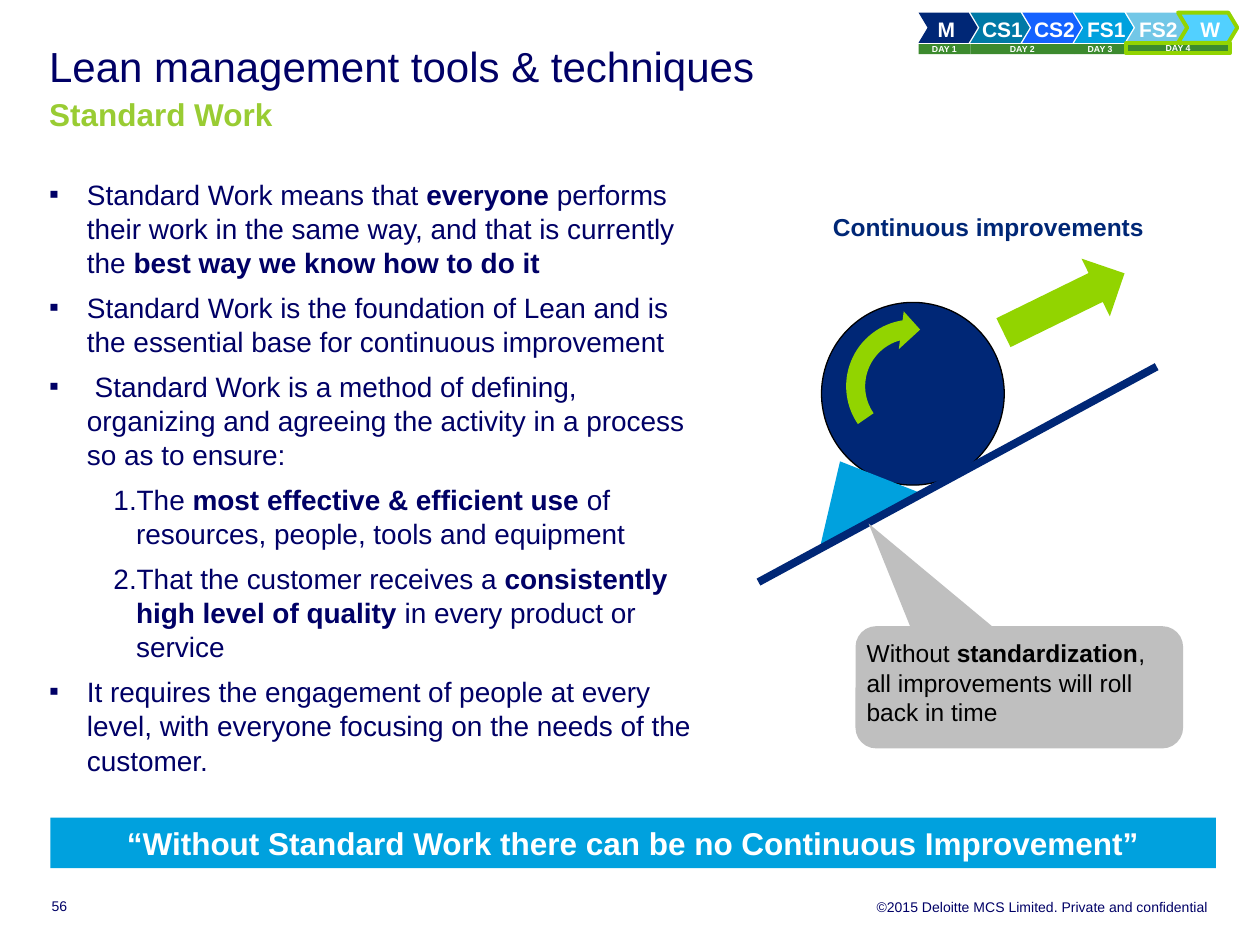
import dataclasses

import pptx
import pptx.dml.color
import pptx.enum.shapes
import pptx.enum.text
import pptx.oxml.ns
import pptx.util
from lxml import etree

RGB = pptx.dml.color.RGBColor
SHAPE = pptx.enum.shapes.MSO_SHAPE
ALIGN = pptx.enum.text.PP_ALIGN
ANCHOR = pptx.enum.text.MSO_ANCHOR
Pt = pptx.util.Pt

NAVY = RGB(0x00, 0x27, 0x76)
TEXT_BLUE = RGB(0x00, 0x00, 0x66)
CYAN = RGB(0x00, 0xA1, 0xDE)
LIME = RGB(0x92, 0xD4, 0x00)
SUBTITLE_GREEN = RGB(0x99, 0xCC, 0x33)
DAY_GREEN = RGB(0x3C, 0x8A, 0x2E)
TEAL = RGB(0x00, 0x79, 0xA6)
BLUE = RGB(0x14, 0x62, 0xFF)
PALE_BLUE = RGB(0x72, 0xC7, 0xE7)
SKY = RGB(0x52, 0xD0, 0xFF)
GREY = RGB(0xBF, 0xBF, 0xBF)
WHITE = RGB(0xFF, 0xFF, 0xFF)
BLACK = RGB(0x00, 0x00, 0x00)

CELL = 0.1  # the slide is a grid of 100 columns by 75 rows, in inches


def cells(count):
    return pptx.util.Inches(count * CELL)


@dataclasses.dataclass
class Box:
    left: float
    top: float
    width: float
    height: float

    def inner(self, left, top, width, height):
        return Box(self.left + left, self.top + top, width, height)

    def lengths(self):
        return [cells(n) for n in (self.left, self.top, self.width, self.height)]


def set_font(target, size, color, bold=None):
    font = target.font
    font.name, font.size, font.bold = "Arial", Pt(size), bold
    font.color.rgb = color


def set_frame(frame, insets=(0, 0, 0, 0), anchor=ANCHOR.TOP, wrap=True):
    frame.auto_size = pptx.enum.text.MSO_AUTO_SIZE.NONE
    frame.word_wrap = wrap
    frame.vertical_anchor = anchor
    (frame.margin_left, frame.margin_top,
     frame.margin_right, frame.margin_bottom) = [cells(n) for n in insets]


def add_spans(para, spans):
    """Odd spans are bold."""
    for index, words in enumerate(spans):
        span = para.add_run()
        span.text = words
        if index % 2:
            span.font.bold = True


def write(shape, spans, size, color, bold=None, align=ALIGN.LEFT, **frame):
    set_frame(shape.text_frame, **frame)
    para = shape.text_frame.paragraphs[0]
    para.alignment = align
    set_font(para, size, color, bold)
    add_spans(para, spans)
    return para


def add_shape(page, kind, box, fill, line=None, adjust=(), rotation=0):
    shape = page.shapes.add_shape(kind, *box.lengths())
    shape.shadow.inherit = False
    shape.fill.solid()
    shape.fill.fore_color.rgb = fill
    if line:
        shape.line.color.rgb, shape.line.width = line[0], Pt(line[1])
    else:
        shape.line.fill.background()
    for index, value in enumerate(adjust):
        shape.adjustments[index] = value
    shape.rotation = rotation
    return shape


def add_text(page, box, text, size, color, **style):
    write(page.shapes.add_textbox(*box.lengths()), [text], size, color, **style)


def place(holder, box):
    holder.left, holder.top, holder.width, holder.height = box.lengths()
    set_frame(holder.text_frame)


def add_tracker(page, box):
    """Course modules as chevrons, with the days beneath them."""
    step = box.width / 6
    modules = [("M", NAVY), ("CS1", TEAL), ("CS2", BLUE),
               ("FS1", CYAN), ("FS2", PALE_BLUE), ("W", SKY)]
    for index, (label, fill) in enumerate(modules):
        first, current = index == 0, index == len(modules) - 1
        chevron = add_shape(page, SHAPE.CHEVRON, box.inner(index * step, 0, 4.7, 2.4),
                            fill, (LIME, 2.25) if current else None, [0.3])
        para = write(chevron, [label], 12, WHITE, True,
                     ALIGN.LEFT if first else ALIGN.CENTER,
                     insets=(0.8, 0.6, 0, 0.6) if first else (2, 0.6, 1.6, 0.6),
                     anchor=ANCHOR.MIDDLE, wrap=False)
        para.line_spacing = 1.1
    column = 0
    for day, span in enumerate((1, 2, 1, 2), start=1):
        current = day == 4
        bar = add_shape(page, SHAPE.RECTANGLE,
                        box.inner(column * step, 2.4 if current else 2.5, span * step, 0.8),
                        DAY_GREEN, (LIME, 2.25) if current else None)
        write(bar, [f"DAY {day}"], 5, WHITE, True, ALIGN.CENTER, insets=(0.4, 0, 0.4, 0))
        column += span


def fill_title(page, box):
    title = page.shapes.title
    place(title, box)
    para = title.text_frame.paragraphs[0]
    para.alignment, para.line_spacing = ALIGN.LEFT, Pt(24)
    heading = para.add_run()
    heading.text = "Lean management tools & techniques"
    set_font(heading, 24, TEXT_BLUE)
    para.add_line_break()
    subtitle = para.add_run()
    subtitle.text = "Standard Work"
    set_font(subtitle, 18, SUBTITLE_GREEN, True)


def fill_body(page, box):
    body = page.placeholders[1]
    place(body, box)
    bullet = ("buChar", {"char": "▪"}, 0.3, -0.3)
    number = ("buAutoNum", {"type": "arabicPeriod"}, 0.69, -0.18)
    items = [
        (bullet, ["Standard Work means that ", "everyone",
                  " performs their work in the same way, and that is currently the ",
                  "best way we know how to do it"]),
        (bullet, ["Standard Work is the foundation of Lean and is the essential base "
                  "for continuous improvement"]),
        (bullet, [" Standard Work is a method of defining, organizing and agreeing "
                  "the activity in a process so as to ensure:"]),
        (number, ["The ", "most effective & efficient use ",
                  "of resources, people, tools and equipment"]),
        (number, ["That the customer receives a ", "consistently high level of quality",
                  " in every product or service"]),
        (bullet, ["It requires the engagement of people at every level, with everyone "
                  "focusing on the needs of the customer."]),
    ]
    frame = body.text_frame
    for index, ((tag, values, margin, indent), spans) in enumerate(items):
        para = frame.add_paragraph() if index else frame.paragraphs[0]
        para.line_spacing, para.space_before, para.space_after = 1.02, Pt(0), Pt(6)
        properties = para._p.get_or_add_pPr()
        properties.set("marL", str(pptx.util.Inches(margin)))
        properties.set("indent", str(pptx.util.Inches(indent)))
        etree.SubElement(properties, pptx.oxml.ns.qn("a:" + tag), values)
        set_font(para, 16, TEXT_BLUE)
        add_spans(para, spans)


def add_illustration(page, box):
    """A ball rolling uphill, held by a wedge."""
    add_shape(page, SHAPE.OVAL, box.inner(5.2, 7.5, 14.5, 14.5), NAVY, (BLACK, 0.75))
    add_shape(page, SHAPE.ISOSCELES_TRIANGLE, box.inner(3.2, 19.8, 9.5, 5.5),
              CYAN, rotation=332.3)

    # Slope
    start, end = box.inner(0.2, 29.7, 0, 0), box.inner(31.8, 12.6, 0, 0)
    slope = page.shapes.add_connector(pptx.enum.shapes.MSO_CONNECTOR.STRAIGHT,
                                      *start.lengths()[:2], *end.lengths()[:2])
    slope.line.color.rgb, slope.line.width = NAVY, Pt(4.5)
    etree.SubElement(slope._element.spPr, pptx.oxml.ns.qn("a:effectLst"))

    # Direction of travel and of rotation
    add_shape(page, SHAPE.RIGHT_ARROW, box.inner(19.1, 5, 10.7, 5.1), LIME, rotation=333.9)
    add_shape(page, SHAPE.CIRCULAR_ARROW, box.inner(6.4, 8.1, 12.1, 12.1), LIME,
              adjust=[0.125, 11.42, 204.58, 136.85, 0.125], rotation=277.4)

    # Callout and heading
    insets = (0.4, 0.5, 0.4, 0.5)
    callout = add_shape(page, SHAPE.ROUNDED_RECTANGULAR_CALLOUT,
                        box.inner(7.9, 33.2, 26, 9.7), GREY, adjust=[-0.46, -1.34, 0.17])
    write(callout, ["Without ", "standardization", ", all improvements will roll back in time"],
          14, BLACK, insets=insets)
    add_text(page, box.inner(5.7, 0, 26.1, 3), "Continuous improvements", 14, NAVY,
             bold=True, insets=insets, anchor=ANCHOR.MIDDLE)


def add_banner(page, box):
    banner = add_shape(page, SHAPE.RECTANGLE, box, CYAN)
    write(banner, ["“Without Standard Work there can be no Continuous Improvement”"],
          18, WHITE, True, ALIGN.CENTER, insets=(1, 0.5, 1, 0.5))


def add_footer(page, box):
    add_text(page, box.inner(0, 0, 20.8, box.height), "56", 8, TEXT_BLUE,
             anchor=ANCHOR.BOTTOM)
    add_text(page, box.inner(box.width - 61.9, 0, 61.9, box.height),
             "©2015 Deloitte MCS Limited. Private and confidential", 8, TEXT_BLUE,
             align=ALIGN.RIGHT)


def main():
    deck = pptx.Presentation()
    deck.slide_width, deck.slide_height = cells(100), cells(75)
    page = deck.slides.add_slide(deck.slide_layouts[1])
    add_tracker(page, Box(72.9, 1, 24.72, 3.3))
    fill_title(page, Box(3.9, 3.9, 90.2, 5.5))
    fill_body(page, Box(3.9, 14, 52.1, 54.8))
    add_banner(page, Box(4, 64.9, 92.5, 4))
    add_illustration(page, Box(60, 16.5, 34, 43))
    add_footer(page, Box(4.1, 71.3, 91.8, 1.3))
    deck.save("out.pptx")


if __name__ == "__main__":
    main()
